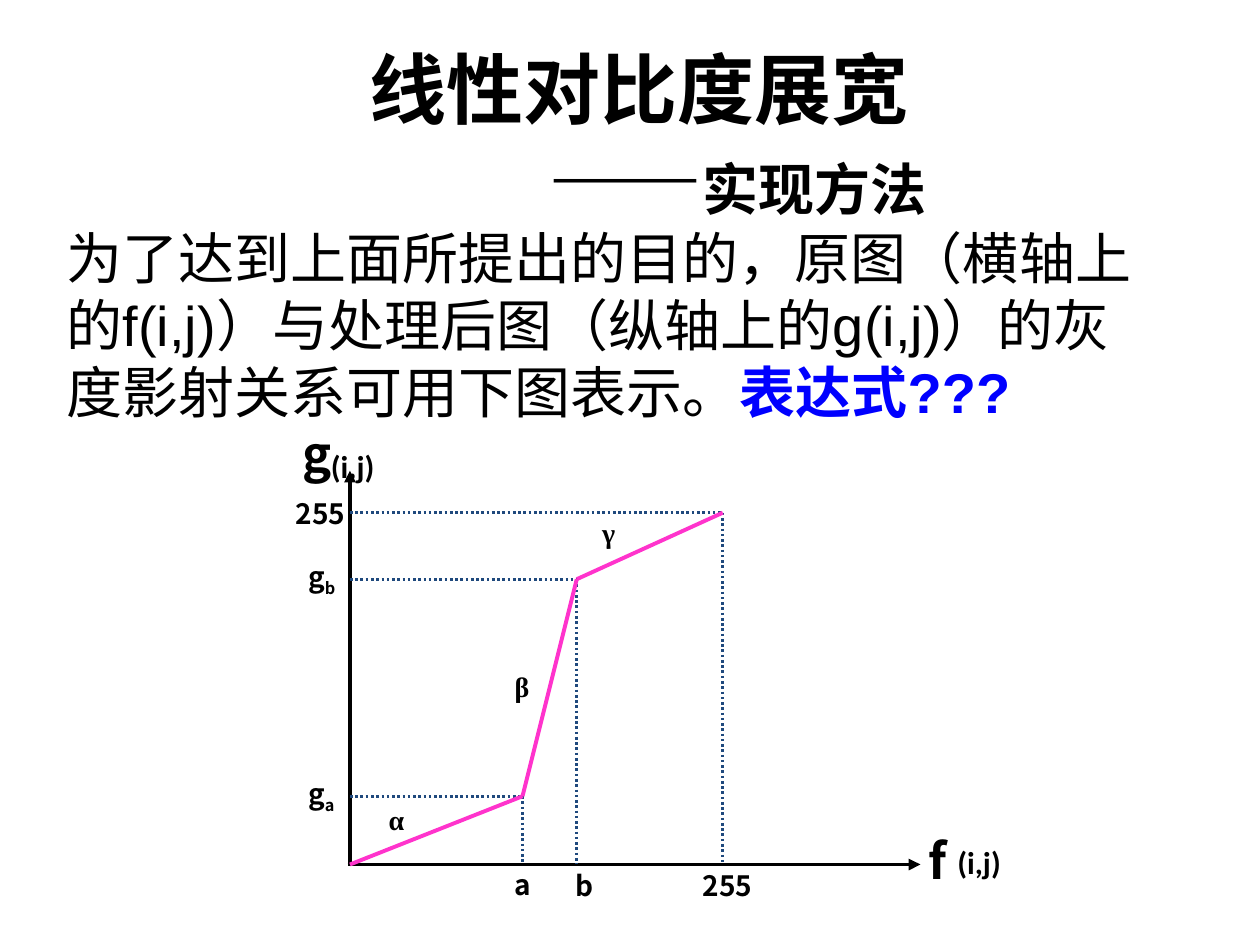
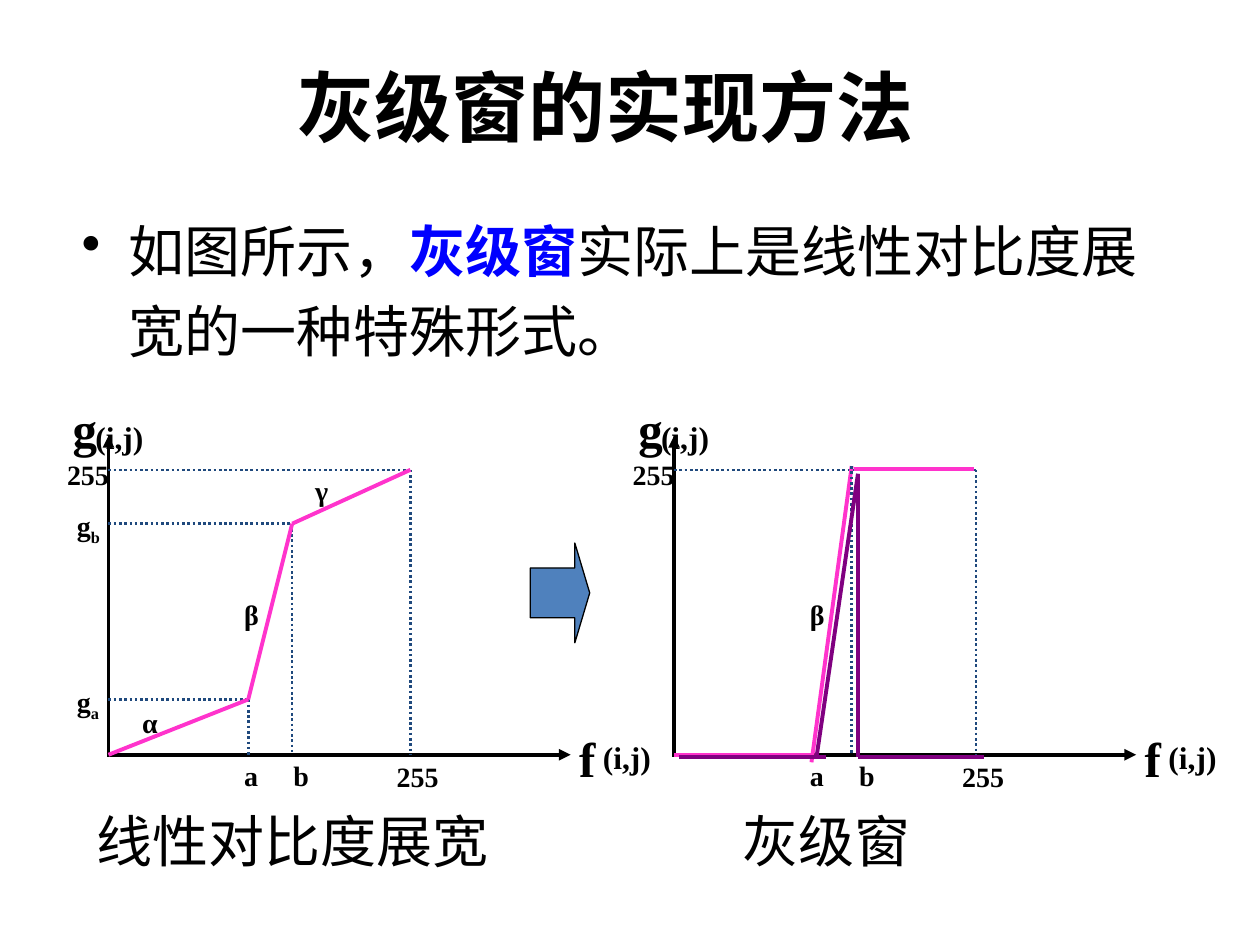
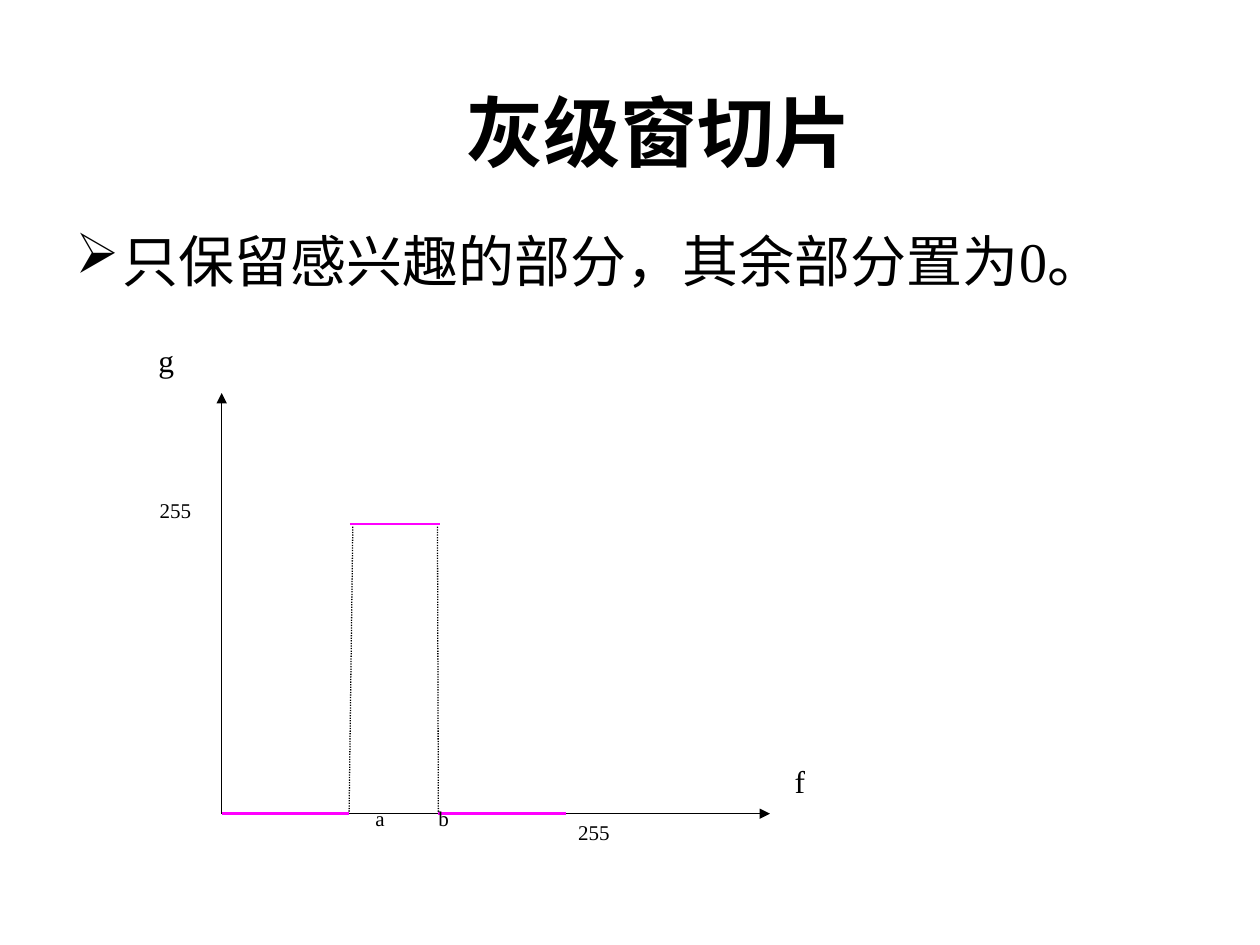
from itertools import pairwise
from lxml.etree import SubElement
from pptx import Presentation
from pptx.dml.color import RGBColor
from pptx.enum.dml import MSO_LINE_DASH_STYLE as Dash
from pptx.enum.lang import MSO_LANGUAGE_ID as Lang
from pptx.enum.shapes import MSO_CONNECTOR as Link, MSO_SHAPE as Kind
from pptx.enum.text import MSO_ANCHOR as Anchor, PP_ALIGN as Align
from pptx.oxml.ns import qn
from pptx.util import Pt

BLACK = RGBColor(0, 0, 0)
BLUE = RGBColor(0, 0, 255)
NAVY = RGBColor(0x1F, 0x49, 0x7D)
STEEL = RGBColor(0x4F, 0x81, 0xBD)
PINK = RGBColor(0xFF, 0x33, 0xCC)
PURPLE = RGBColor(0x80, 0, 0x80)
MAGENTA = RGBColor(0xFF, 0, 0xFF)
SANS, SERIF, NOTO, LIGHT = "Arial", "Times New Roman", "Noto Sans CJK SC", "Calibri"


def write(para, text, size=16, face=SERIF, color=BLACK, bold=False, sub=False):
    run = para.add_run()
    run.text = text
    font = run.font
    font.size, font.name, font.bold = Pt(size), face, bold
    font.color.rgb = color
    font.language_id = Lang.SIMPLIFIED_CHINESE
    if sub:
        run._r.get_or_add_rPr().set("baseline", "-25000")


class Deck:
    def __init__(self):
        self.prs = Presentation()
        self.prs.slide_width, self.prs.slide_height = Pt(720), Pt(540)

    def page(self):
        self.slide = self.prs.slides.add_slide(self.prs.slide_layouts[6])

    def box(self, left, top, width, height):
        area = self.slide.shapes.add_textbox(Pt(left), Pt(top), Pt(width), Pt(height))
        frame = area.text_frame
        frame.word_wrap = True
        return frame

    def title(self, text, *spot, face=SERIF):
        frame = self.box(*spot)
        frame.vertical_anchor = Anchor.MIDDLE
        para = frame.paragraphs[0]
        para.alignment = Align.CENTER
        write(para, text, size=44, face=face, bold=True)
        return frame

    def body(self, spot, runs, face=SERIF, mark=None):
        para = self.box(*spot).paragraphs[0]
        if mark:
            props = para._p.get_or_add_pPr()
            props.set("marL", str(Pt(27)))
            props.set("indent", str(Pt(-27)))
            SubElement(props, qn("a:buChar")).set("char", mark)
        for text, style in runs:
            write(para, text, size=32, face=face, **style)
        return para

    def label(self, text, left, top, width, size=16, sub="", **style):
        para = self.box(left, top, width, size * 1.2 + 7.2).paragraphs[0]
        write(para, text, size=size, **style)
        if sub:
            write(para, sub, size=size, sub=True, **style)

    def line(self, *spots, color=BLACK, width=2.25, dots=False, arrow=False):
        for start, end in pairwise(spots):
            link = self.slide.shapes.add_connector(
                Link.STRAIGHT, *(Pt(n) for n in (*start, *end)))
            link.line.color.rgb = color
            link.line.width = Pt(width)
            if dots:
                link.line.dash_style = Dash.ROUND_DOT
            if arrow:
                SubElement(link.line._get_or_add_ln(), qn("a:tailEnd")).set("type", "triangle")
            SubElement(link._element.spPr, qn("a:effectLst"))

    def arrow(self, left, top, width, height):
        shape = self.slide.shapes.add_shape(
            Kind.RIGHT_ARROW, Pt(left), Pt(top), Pt(width), Pt(height))
        shape.adjustments[0], shape.adjustments[1] = 0.5, 0.25
        shape.shadow.inherit = False
        shape.fill.solid()
        shape.fill.fore_color.rgb = STEEL
        shape.line.color.rgb = BLACK
        shape.line.width = Pt(0.75)

    def plot(self, left, base, scale=1, face=SERIF, light=SERIF, full=True):
        def at(x, y):
            return left + x * scale, base - y * scale

        def name(text, x, y, width, **style):
            self.label(text, *at(x, y), width * scale, bold=True, **style)

        def guide(*spots):
            self.line(*(at(*s) for s in spots), color=NAVY, width=1.5, dots=True)

        low, mid, top = (98.6, 39), (129.6, 163), (213, 201)
        self.line(at(0, 0), at(0, 225), arrow=True)
        self.line(at(-1.4, 0), at(326, 0), arrow=True)
        for x, y in (low, mid, top) if full else (top,):
            guide((0, y), (x, y), (x, 0))
        if full:
            self.line(at(0, 0), at(*low), at(*mid), at(*top), color=PINK)
            name("g", -31, 54, 38, sub="a", face=face)
            name("g", -31, 178, 38, sub="b", face=face)
            name("α", 15, 39, 30)
            name("γ", 137, 203, 31)
        name("β", 87, 115, 31)
        name("255", 194.5, 1, 60, face=face)
        name("a", 87, 2, 23, face=face)
        name("b", 121.7, 1.5, 23, face=face)
        name("255", -38, 214, 81, face=face)
        name("f", 323.3, 23, 38, size=28, face=face)
        name("g", -34, 255.6, 30, size=28, face=face)
        name("(i,j)", 340, 16, 57, size=18, face=light)
        name("(i,j)", -18, 242, 57, size=18, face=light)


def stretch(deck):
    deck.page()
    deck.body((31, 124, 635, 124), [
        ("为了达到上面所提出的目的，原图（横轴上的f(i,j)）与处理后图（纵轴上的g(i,j)）的灰度影射关系可用下图表示。", {}),
        ("表达式???", {"color": BLUE, "bold": True})], face=SANS)
    deck.plot(200, 494, face=NOTO, light=LIGHT)
    frame = deck.title("线性对比度展宽", 118, 28, 495, 96.5, face=SANS)
    para = frame.add_paragraph()
    para.alignment = Align.CENTER
    para._p.get_or_add_pPr().set("marL", str(Pt(112)))
    write(para, "——", size=44, face=SANS, bold=True)
    write(para, "实现方法", size=32, face=SANS, bold=True)


def window(deck):
    deck.page()
    deck.title("灰级窗的实现方法", 42.5, 21, 607, 79)
    para = deck.body((39.6, 112.3, 627, 85), [
        ("如图所示，", {}),
        ("灰级窗", {"color": BLUE, "bold": True}),
        ("实际上是线性对比度展宽的一种特殊形式。", {})], mark="•")
    para.line_spacing = 1.2
    deck.arrow(303, 310.3, 34, 57)
    deck.plot(62, 431.3, scale=0.81)
    deck.plot(385.2, 431.3, scale=0.81, full=False)
    deck.line((385.2, 431.3), (463.7, 431.3), color=PINK)
    deck.line((463.7, 435.6), (486.7, 266.4), color=PINK)
    deck.line((488, 267.8), (556.6, 267.8), color=PINK)
    deck.line((486.7, 266.4), (486.7, 431.3), color=NAVY, width=1.5, dots=True)
    deck.line((388, 432.7), (472.3, 432.7), color=PURPLE)
    deck.line((466.6, 432.7), (490.3, 270.7), (490.3, 432.7), (562.3, 432.7), color=PURPLE)
    deck.label("线性对比度展宽", 48.2, 457.2, 266.4, size=32)
    deck.label("灰级窗", 417, 457.2, 142, size=32)


def slice_(deck):
    deck.page()
    deck.title("灰级窗切片", 208, 44.6, 337, 60.5)
    deck.body((36, 126, 648, 356.4), [("只保留感兴趣的部分，其余部分置为0。", {})], mark="➢")
    left, base, top = 126.7, 465, 299.5
    for end in ((440, base), (left, 224.6)):
        deck.line((left, base), end, width=0.75, arrow=True)
    for head, foot in ((250, 250.5), (201.6, 199.5)):
        deck.line((head, 301), (foot, base), width=0.75, dots=True)
    for start, end, y in ((left, 199.5, base), (200, 251.3, top), (250.5, 323.3, base)):
        deck.line((start, y), (end, y), color=MAGENTA, width=1.5)
    for text, x, y, width, size in (
            ("255", 323.3, 465, 70.5, 12), ("a", 207.4, 457, 21.6, 12),
            ("b", 243.4, 457, 21.6, 12), ("255", 84.2, 281, 41, 12),
            ("f", 447, 432, 36.7, 18), ("g", 83.5, 191.5, 28.8, 18)):
        deck.label(text, x, y, width, size=size)


def main():
    deck = Deck()
    for build in (stretch, window, slice_):
        build(deck)
    deck.prs.save("out.pptx")


if __name__ == "__main__":
    main()
